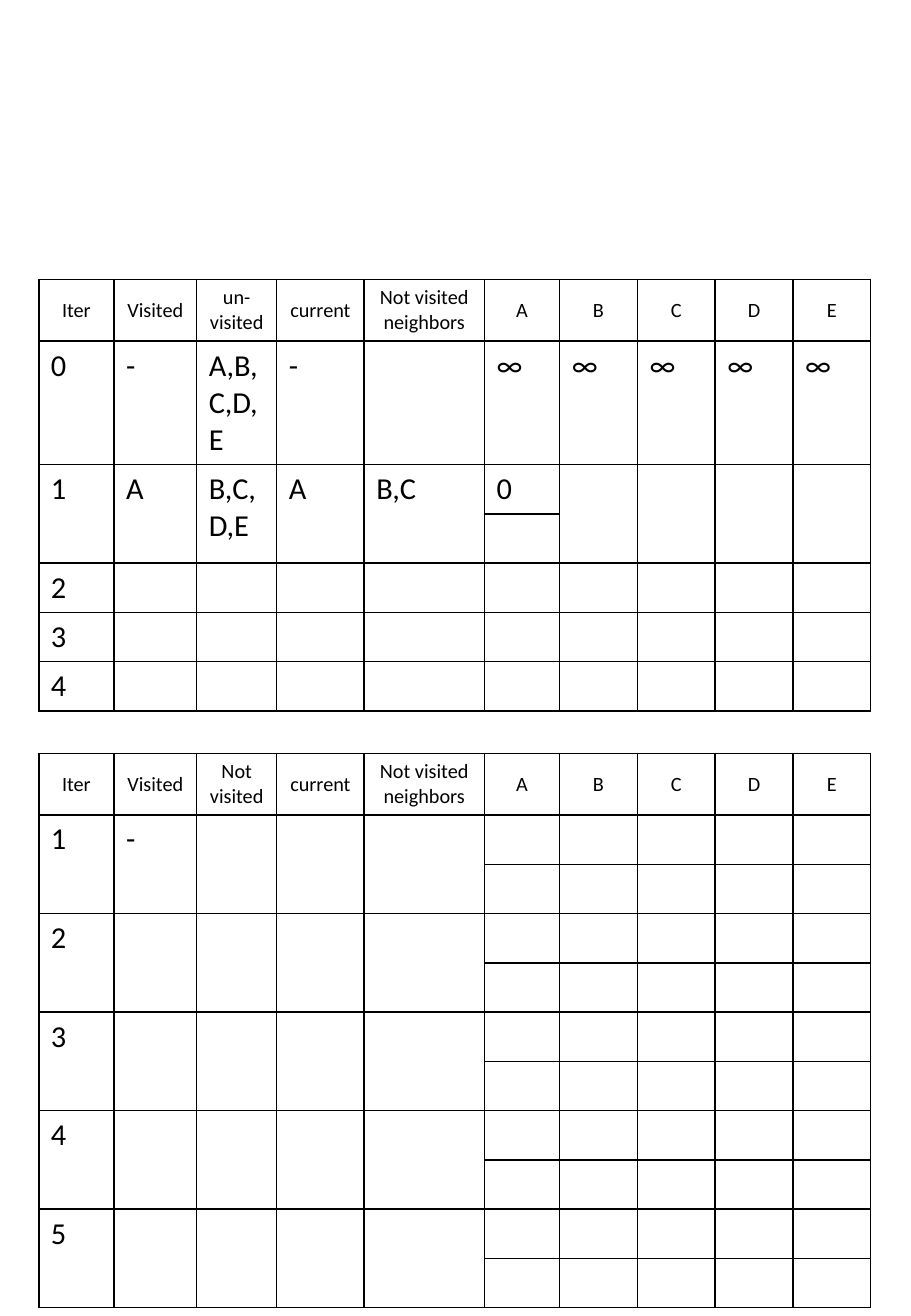
from lxml import etree
from pptx import Presentation
from pptx.dml.color import RGBColor
from pptx.enum import text as t
from pptx.oxml import ns
from pptx.util import Pt

INK, FONT = "000000", "Calibri"
LEFT = 23
COLS = [44.6, 49, 47.5, 51.8, 71.3, 44.6] + [46.1] * 4
HEAD, ROW, TALL = 36.5, 29.2, 73.2
NODES = list("ABCDE")


def heads(third):
    return ["Iter", "Visited", third, "current", "Not visited neighbors"] + NODES


FIRST = [
    heads("un- visited"),
    ["0", "-", "A,B,C,D,E", "-", ""] + ["∞"] * 5,
    ["1", "A", "B,C,D,E", "A", "B,C", "0"],
    [],
    ["2"],
    ["3"],
    ["4"],
]
SECOND = [heads("Not visited")]
for step in range(1, 6):
    SECOND += [[str(step), "-" if step == 1 else ""], []]

TABLES = [
    (165.6, FIRST, [HEAD, TALL] + [ROW] * 5,
     [(2, c) for c in range(10) if c != 5]),
    (446.4, SECOND, [HEAD] + [ROW] * 10,
     [(r, c) for r in range(1, 11, 2) for c in range(5)]),
]


def tint(code):
    return RGBColor.from_string(code)


def frame(cell):
    props = cell._tc.get_or_add_tcPr()
    for side in "LRTB":
        line = etree.SubElement(props, ns.qn("a:ln" + side), w=str(Pt(1)))
        fill = etree.SubElement(line, ns.qn("a:solidFill"))
        etree.SubElement(fill, ns.qn("a:srgbClr"), val=INK)
    cell.fill.background()


def write(cell, words, head):
    para = cell.text_frame.paragraphs[0]
    if head:
        cell.vertical_anchor = t.MSO_ANCHOR.MIDDLE
        para.alignment = t.PP_ALIGN.CENTER
    run = para.add_run()
    run.text = words
    run.font.name = FONT
    run.font.size = Pt(12 if head else 18)
    run.font.color.rgb = tint(INK)


def draw(slide, top, rows, highs, pairs):
    grid = slide.shapes.add_table(
        len(rows), len(COLS), Pt(LEFT), Pt(top), Pt(sum(COLS)), Pt(sum(highs))
    ).table
    grid.first_row = grid.horz_banding = False
    for col, wide in zip(grid.columns, COLS):
        col.width = Pt(wide)
    for row, high in zip(grid.rows, highs):
        row.height = Pt(high)
        for cell in row.cells:
            frame(cell)
    for r, c in pairs:
        grid.cell(r, c).merge(grid.cell(r + 1, c))
    for r, row in enumerate(rows):
        for c, words in enumerate(row):
            if words:
                write(grid.cell(r, c), words, r == 0)


def main():
    deck = Presentation()
    deck.slide_width, deck.slide_height = Pt(540), Pt(779.76)
    slide = deck.slides.add_slide(deck.slide_layouts[6])
    for table in TABLES:
        draw(slide, *table)
    deck.save("out.pptx")


if __name__ == "__main__":
    main()
